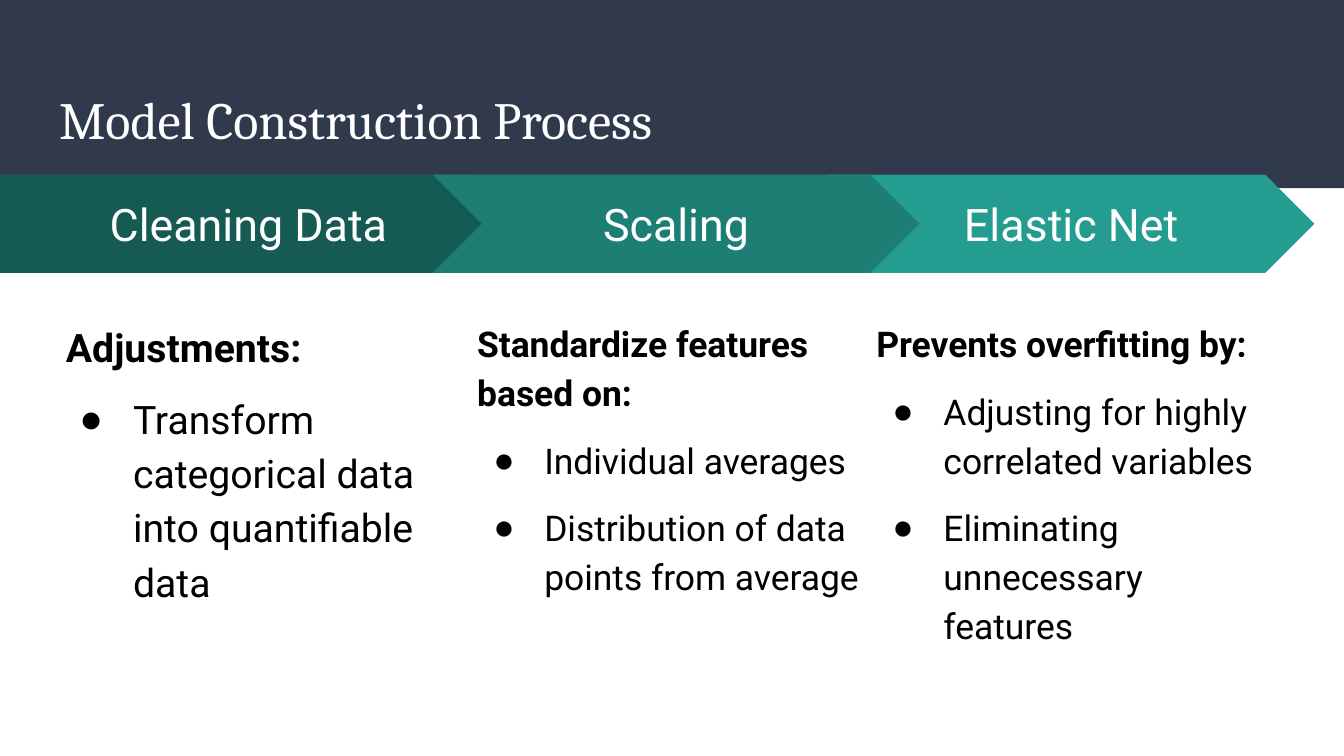
from dataclasses import dataclass

from lxml import etree
from pptx import Presentation
from pptx.dml.color import RGBColor
from pptx.enum.shapes import MSO_SHAPE
from pptx.enum.text import MSO_ANCHOR, MSO_AUTO_SIZE, PP_ALIGN
from pptx.oxml.ns import qn
from pptx.util import Emu, Inches, Pt

RECT, PLATE, CHEVRON = MSO_SHAPE.RECTANGLE, MSO_SHAPE.PENTAGON, MSO_SHAPE.CHEVRON
TOP, MIDDLE = MSO_ANCHOR.TOP, MSO_ANCHOR.MIDDLE
LEFT, CENTER = PP_ALIGN.LEFT, PP_ALIGN.CENTER
FIXED = MSO_AUTO_SIZE.NONE

WIDE = Inches(10)
HIGH = Emu(WIDE * 9 // 16)
CELL = WIDE / 100  # square grid: 100 columns, 56.25 rows
BAR = (13, 7.3)  # first row and row count
BODY = (22.5, 28.6)
SPAN = 31  # columns in a list


@dataclass(frozen=True)
class Theme:
    band: str = "31394D"
    light: str = "FFFFFF"
    ink: str = "000000"
    serif: str = "Cambria"
    sans: str = "Roboto"
    title: int = 28
    step: int = 24
    inset: float = 0.1
    gap: int = 10
    line: float = 1.15
    indent: float = 0.5


@dataclass(frozen=True)
class Step:
    name: str
    kind: MSO_SHAPE
    fill: str
    col: float
    span: float
    left: float
    head: str
    items: tuple[str, ...]
    size: int
    hang: float
    tail: int  # space after the last item


THEME = Theme()
STEPS = (
    Step("Elastic Net", CHEVRON, "249C90", 61.6, 36.2, 64.2,
         "Prevents overfitting by:",
         ("Adjusting for highly correlated variables",
          "Eliminating unnecessary features"), 19, 0.38, THEME.gap),
    Step("Cleaning Data", PLATE, "155B54", 0, 38.8, 3.9,
         "Adjustments:",
         ("Transform categorical data into quantifiable data",), 21, 0.4, 0),
    Step("Scaling", CHEVRON, "1D7E74", 32.2, 36.2, 34.5,
         "Standardize features based on:",
         ("Individual averages",
          "Distribution of data points from average"), 19, 0.38, THEME.gap),
)


def assign(obj, values: dict) -> None:
    for key, value in values.items():
        setattr(obj, key, value)


def area(col: float, row: float, cols: float, rows: float) -> dict:
    """Turn grid columns and rows into a shape's position and size."""
    keys = ("left", "top", "width", "height")
    return {key: Emu(round(n * CELL)) for key, n in zip(keys, (col, row, cols, rows))}


def frame(shape, anchor: MSO_ANCHOR):
    text = shape.text_frame
    sides = ("left", "top", "right", "bottom")
    assign(text, {f"margin_{side}": Inches(THEME.inset) for side in sides})
    assign(text, {"word_wrap": True, "auto_size": FIXED, "vertical_anchor": anchor})
    return text


def write(para, words: str, face: str, size: int, color: str,
          bold: bool = False, align: PP_ALIGN = LEFT) -> None:
    para.alignment = align
    run = para.add_run()
    run.text = words
    assign(run.font, {"name": face, "size": Pt(size), "bold": bold})
    run.font.color.rgb = RGBColor.from_string(color)


def block(slide, kind: MSO_SHAPE, box: dict, fill: str):
    shape = slide.shapes.add_shape(kind, *box.values())
    shape.shadow.inherit = False
    shape.fill.solid()
    shape.fill.fore_color.rgb = RGBColor.from_string(fill)
    shape.line.fill.background()
    return shape


def mark(para, margin: float, hang: float, sign: str) -> None:
    """Set the indent and the bullet; an empty sign means no bullet."""
    props = para._p.get_or_add_pPr()
    props.set("marL", str(Inches(margin)))
    props.set("indent", str(-Inches(hang)))
    if not sign:
        etree.SubElement(props, qn("a:buNone"))
        return
    color = etree.SubElement(props, qn("a:buClr"))
    etree.SubElement(color, qn("a:srgbClr")).set("val", THEME.ink)
    etree.SubElement(props, qn("a:buChar")).set("char", sign)


def fill_list(shape, step: Step) -> None:
    assign(shape, area(step.left, BODY[0], SPAN, BODY[1]))
    text = frame(shape, TOP)
    for i, words in enumerate((step.head, *step.items)):
        para = text.add_paragraph() if i else text.paragraphs[0]
        last = i == len(step.items)
        assign(para, {"line_spacing": THEME.line,
                      "space_before": Pt(THEME.gap if i else 0),
                      "space_after": Pt(step.tail if last else 0)})
        write(para, words, THEME.sans, step.size, THEME.ink, bold=not i)
        if i:
            mark(para, THEME.indent, step.hang, "●")
        else:
            mark(para, 0, 0, "")


def draw_step(slide, step: Step) -> None:
    shape = block(slide, step.kind, area(step.col, BAR[0], step.span, BAR[1]), step.fill)
    shape.adjustments[0] = 0.5
    write(frame(shape, MIDDLE).paragraphs[0], step.name,
          THEME.sans, THEME.step, THEME.light, align=CENTER)


def main() -> None:
    deck = Presentation()
    assign(deck, {"slide_width": WIDE, "slide_height": HIGH})
    slide = deck.slides.add_slide(deck.slide_layouts.get_by_name("Comparison"))

    band = block(slide, RECT, area(0, 0, 100, 14), THEME.band)
    slide.shapes._spTree.insert(2, band._element)  # behind the title

    title = slide.shapes.title
    assign(title, area(3.4, 5.5, 93.2, 6.8))
    write(frame(title, TOP).paragraphs[0], "Model Construction Process",
          THEME.serif, THEME.title, THEME.light)

    *lists, spare = [p for p in slide.placeholders if p.placeholder_format.idx]
    spare._element.getparent().remove(spare._element)
    for shape, step in zip(lists, STEPS):
        fill_list(shape, step)
        draw_step(slide, step)

    deck.save("out.pptx")


if __name__ == "__main__":
    main()
